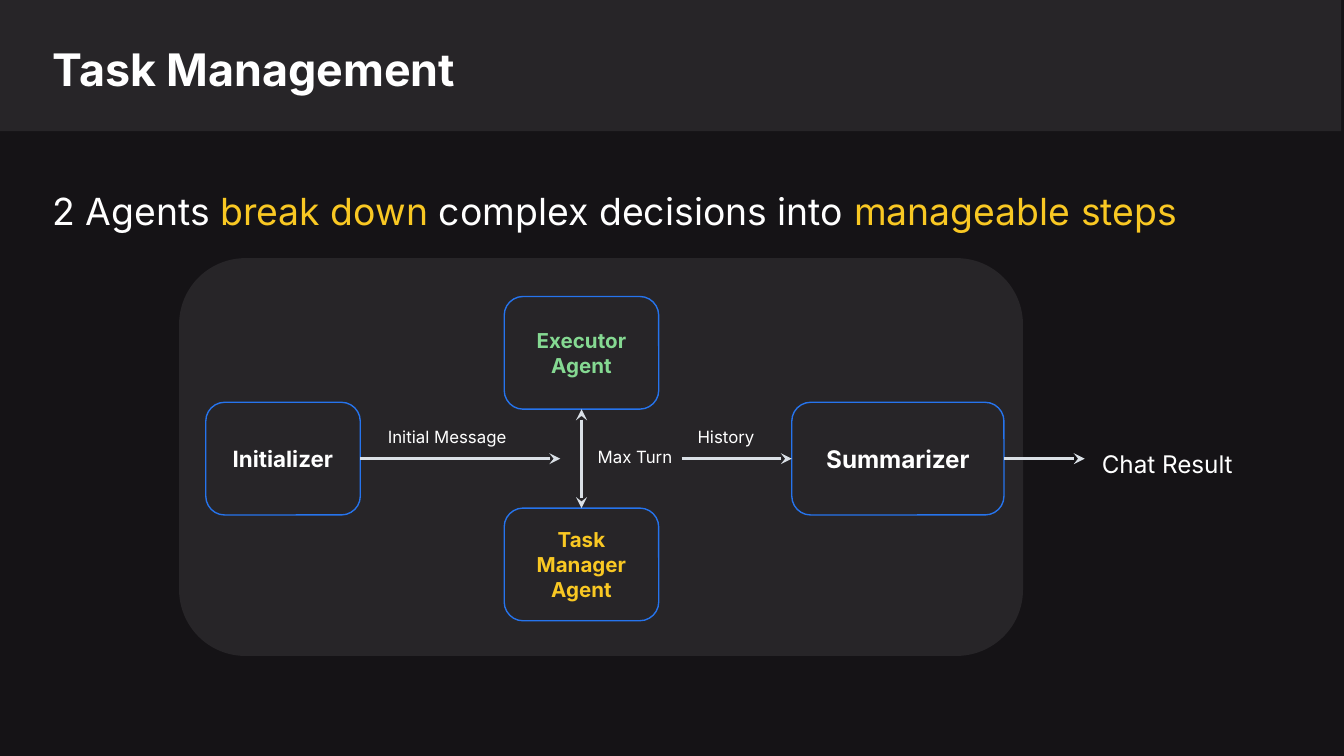
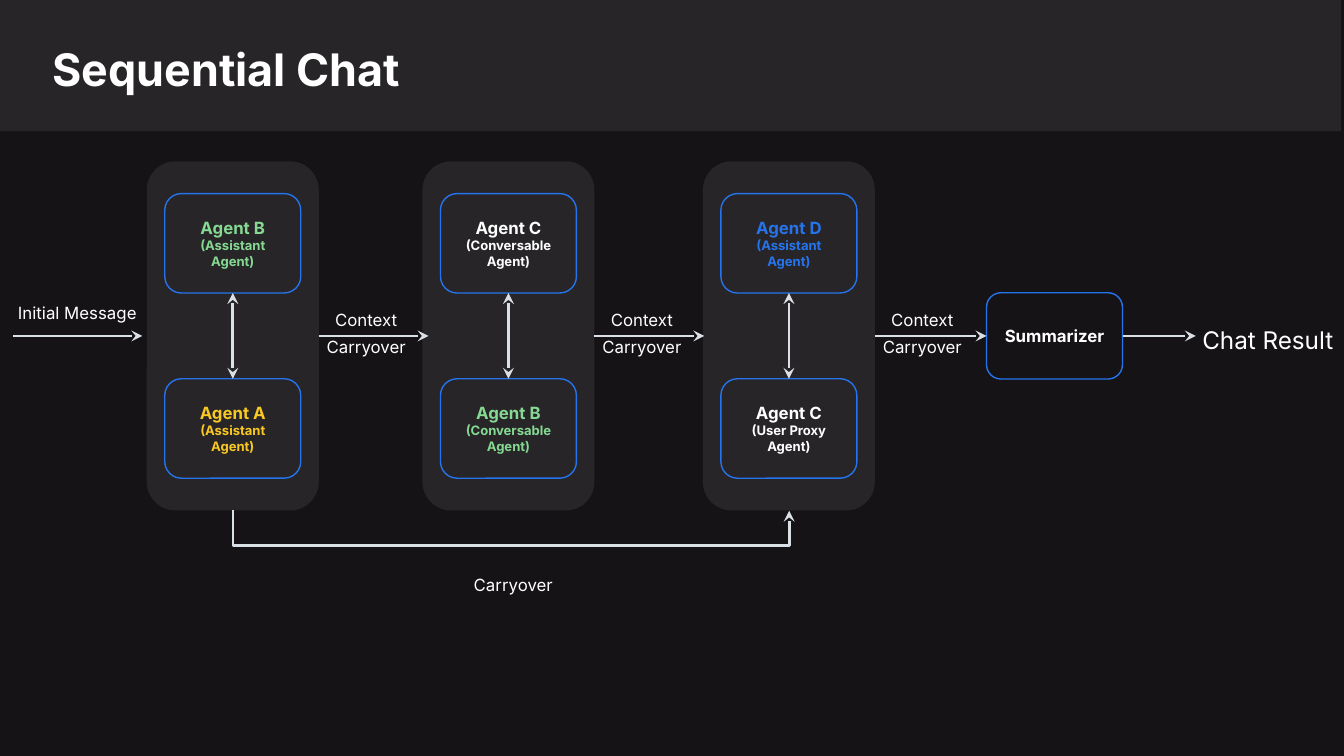
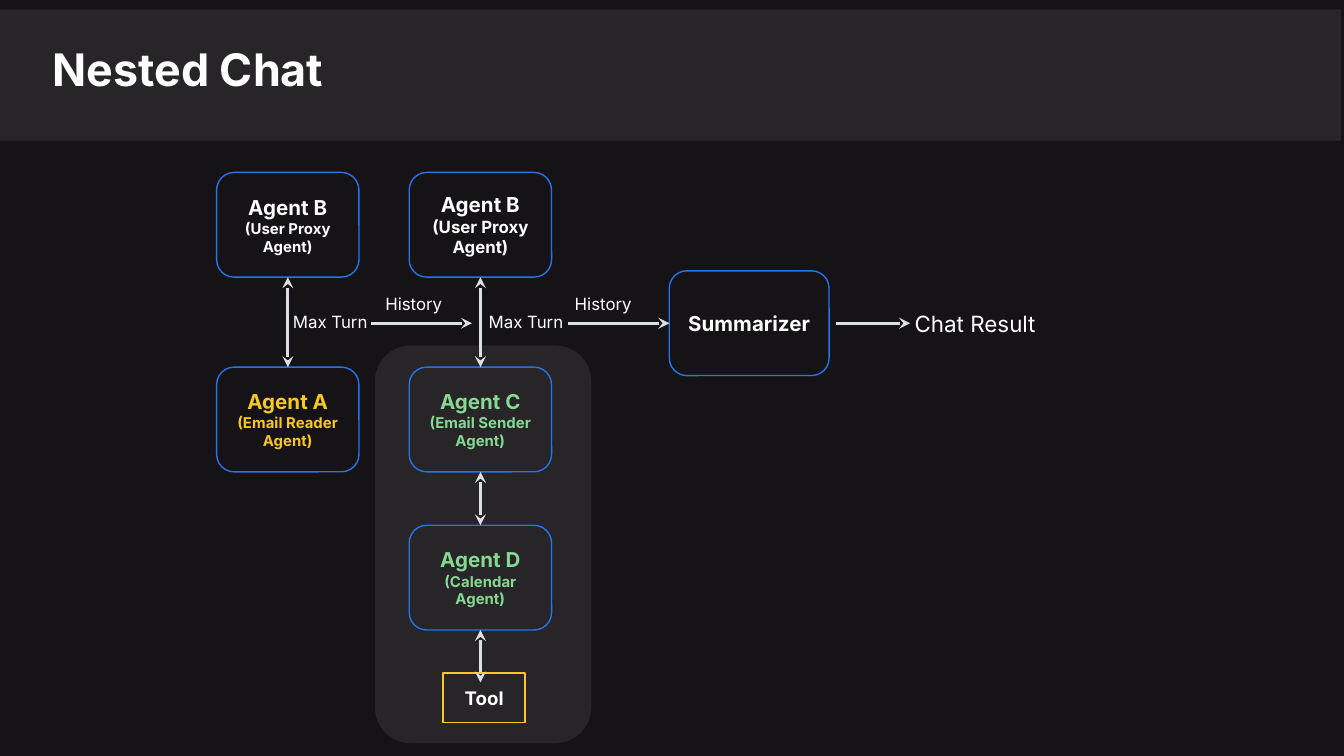
import pptx
import pptx.util
import pptx.dml.color
import pptx.enum.shapes
import pptx.enum.text
import pptx.oxml.ns
from lxml import etree

Cm = pptx.util.Cm
SHAPE = pptx.enum.shapes.MSO_SHAPE
CONNECTOR = pptx.enum.shapes.MSO_CONNECTOR
ALIGN = pptx.enum.text.PP_ALIGN
ANCHOR = pptx.enum.text.MSO_ANCHOR
qn = pptx.oxml.ns.qn

FONT = "Inter"
COLORS = {
    "background": "151316",
    "panel": "272528",
    "white": "FFFFFF",
    "blue": "2674ED",
    "green": "85D992",
    "yellow": "F9C823",
    "arrow": "DAE0E6",
}
TOP, LEFT, BOTTOM, RIGHT = range(4)


def rgb(name):
    return pptx.dml.color.RGBColor.from_string(COLORS[name])


# Text
def style(span, size, color="white", bold=False):
    span.font.name = FONT
    span.font.size = pptx.util.Pt(size)
    span.font.bold = bold
    span.font.color.rgb = rgb(color)


def write_lines(frame, lines, color="white", bold=False):
    """Fill a frame with centred (text, size) lines."""
    frame.word_wrap = True
    frame.vertical_anchor = ANCHOR.MIDDLE
    frame.text = "\n".join(text for text, _ in lines)
    for para, (_, size) in zip(frame.paragraphs, lines):
        para.alignment = ALIGN.CENTER
        style(para.runs[0], size, color, bold)


def add_label(page, x, y, text, size=9):
    """Plain text centred on a point."""
    width, height = 2.8, 1
    box = page.shapes.add_textbox(
        Cm(x - width / 2), Cm(y - height / 2), Cm(width), Cm(height))
    frame = box.text_frame
    frame.margin_left = frame.margin_right = 0
    write_lines(frame, [(text, size)])


def add_lead(page, parts):
    box = page.shapes.add_textbox(Cm(0.74), Cm(3.3), Cm(23.24), Cm(2.16))
    box.text_frame.word_wrap = True
    box.text_frame.margin_top = Cm(0.25)
    para = box.text_frame.paragraphs[0]
    for text, color in parts:
        span = para.add_run()
        span.text = text
        style(span, 20, color)


# Shapes, placed by their centre
def add_block(page, kind, x, y, width, height, fill=None, line=None):
    block = page.shapes.add_shape(
        kind, Cm(x - width / 2), Cm(y - height / 2), Cm(width), Cm(height))
    block.shadow.inherit = False
    if fill:
        block.fill.solid()
        block.fill.fore_color.rgb = rgb(fill)
    else:
        block.fill.background()
    if line:
        block.line.color.rgb = rgb(line)
        block.line.width = pptx.util.Pt(0.75)
    else:
        block.line.fill.background()
    return block


def add_panel(page, x, y, width, height):
    return add_block(page, SHAPE.ROUNDED_RECTANGLE, x, y, width, height, fill="panel")


def add_node(page, x, y, size, lines, color="white", kind=SHAPE.ROUNDED_RECTANGLE,
             line="blue"):
    node = add_block(page, kind, x, y, *size, line=line)
    write_lines(node.text_frame, lines, color, bold=True)
    return node


# Arrows
def style_arrow(arrow, double=False):
    arrow.line.color.rgb = rgb("arrow")
    arrow.line.width = pptx.util.Pt(1.5)
    outline = arrow.element.spPr.find(qn("a:ln"))
    for tag in ("a:headEnd", "a:tailEnd") if double else ("a:tailEnd",):
        etree.SubElement(outline, qn(tag), type="stealth")
    etree.SubElement(arrow.element.spPr, qn("a:effectLst"))


def add_arrow(page, begin, end, double=False):
    """Each end is an (x, y) point or a (shape, side) pair."""
    joined = [hasattr(spot[0], "shape_id") for spot in (begin, end)]
    points = [(0, 0) if join else spot for spot, join in zip((begin, end), joined)]
    arrow = page.shapes.add_connector(
        CONNECTOR.STRAIGHT, *(Cm(value) for point in points for value in point))
    if joined[0]:
        arrow.begin_connect(*begin)
    if joined[1]:
        arrow.end_connect(*end)
    style_arrow(arrow, double)


def add_return_arrow(page, x1, x2, y, drop):
    """U-shaped arrow that dips by drop between two points at height y."""
    span, sliver = x2 - x1, 0.01
    left, top = (x1 + x2) / 2, y - span / 2
    arrow = page.shapes.add_connector(
        CONNECTOR.ELBOW, Cm(left), Cm(top), Cm(left + sliver), Cm(top + span))
    frame = arrow.element.spPr.find(qn("a:xfrm"))
    frame.set("rot", "16200000")
    frame.set("flipH", "1")
    guides = arrow.element.spPr.find(".//" + qn("a:avLst"))
    etree.SubElement(guides, qn("a:gd"), name="adj1",
                     fmla=f"val {round(drop / sliver * 100000)}")
    style_arrow(arrow)


# Shared slide frame
def add_page(deck, heading, band_top=0.0):
    page = deck.slides.add_slide(deck.slide_layouts[5])
    width, height = 25.35, 2.48
    band = add_block(page, SHAPE.RECTANGLE, width / 2, band_top + height / 2,
                     width, height, fill="panel")
    title = page.shapes.title
    title.element.addprevious(band.element)
    title.left, title.top, title.width, title.height = (
        Cm(0.74), Cm(0.53), Cm(22.2), Cm(1.47))
    frame = title.text_frame
    frame.text = heading
    frame.auto_size = pptx.enum.text.MSO_AUTO_SIZE.NONE
    frame.vertical_anchor = ANCHOR.TOP
    frame.margin_top = Cm(0.25)
    frame.paragraphs[0].alignment = ALIGN.LEFT
    style(frame.paragraphs[0].runs[0], 24, bold=True)
    return page


def build_task_management(deck):
    page = add_page(deck, "Task Management")
    add_lead(page, [("2 Agents ", "white"), ("break down", "yellow"),
                    (" complex decisions into ", "white"),
                    ("manageable steps", "yellow")])
    flow_y, agent_x, size = 8.67, 10.99, (2.92, 2.13)
    add_panel(page, 11.36, 8.64, 15.95, 7.52)

    initializer = add_node(page, 5.35, flow_y, size, [("Initializer", 12)])
    executor = add_node(page, agent_x, flow_y - 2, size,
                        [("Executor Agent", 11)], "green")
    manager = add_node(page, agent_x, flow_y + 2, size,
                       [("Task Manager Agent", 11)], "yellow")
    summarizer = add_node(page, 16.97, flow_y, (4.01, 2.13), [("Summarizer", 13)])

    add_arrow(page, (initializer, RIGHT), (10.59, flow_y))
    add_arrow(page, (executor, BOTTOM), (manager, TOP), double=True)
    add_arrow(page, (12.88, flow_y), (summarizer, LEFT))
    add_arrow(page, (summarizer, RIGHT), (20.5, flow_y))

    add_label(page, 8.45, 8.26, "Initial Message")
    add_label(page, 12, 8.64, "Max Turn")
    add_label(page, 13.72, 8.26, "History")
    add_label(page, 22.06, 8.77, "Chat Result", 13)


def build_sequential_chat(deck):
    page = add_page(deck, "Sequential Chat")
    flow_y, size = 6.35, (2.57, 1.88)
    panel_width, panel_height = 3.25, 6.6
    chats = [
        (4.4, ("Agent B", "(Assistant Agent)", "green"),
         ("Agent A", "(Assistant Agent)", "yellow")),
        (9.61, ("Agent C", "(Conversable Agent)", "white"),
         ("Agent B", "(Conversable Agent)", "green")),
        (14.91, ("Agent D", "(Assistant Agent)", "blue"),
         ("Agent C", "(User Proxy Agent)", "white")),
    ]
    panels = [add_panel(page, x, flow_y, panel_width, panel_height)
              for x, _, _ in chats]
    summarizer = add_node(page, 19.93, flow_y, (2.57, 1.63), [("Summarizer", 9)])

    for panel, (x, *agents) in zip(panels, chats):
        upper, lower = [
            add_node(page, x, y, size, [(name, 9), (role, 7)], color)
            for y, (name, role, color) in zip((flow_y - 1.75, flow_y + 1.75), agents)]
        add_arrow(page, (upper, BOTTOM), (lower, TOP), double=True)
        last = panel is panels[-1]
        add_arrow(page, (panel, RIGHT),
                  (summarizer, LEFT) if last else (x + 3.7, flow_y))
        add_label(page, x + 2.52, 6.05, "Context")
        add_label(page, x + 2.52, 6.56, "Carryover")

    add_arrow(page, (0.25, flow_y), (2.69, flow_y))
    add_arrow(page, (summarizer, RIGHT), (22.6, flow_y))
    add_return_arrow(page, chats[0][0], chats[-1][0], flow_y + panel_height / 2, 0.66)
    add_label(page, 1.46, 5.92, "Initial Message")
    add_label(page, 9.7, 11.06, "Carryover")
    add_label(page, 23.96, 6.43, "Chat Result", 13)


def build_nested_chat(deck):
    page = add_page(deck, "Nested Chat", band_top=0.18)
    flow_y, size = 6.11, (2.69, 1.98)
    first_x, second_x = 5.44, 9.08
    add_panel(page, 9.13, 10.29, 4.09, 7.52)

    agents = [
        add_node(page, x, y, size, [(name, 11), (role, role_size)], color)
        for x, y, name, role, role_size, color in [
            (first_x, 4.25, "Agent B", "(User Proxy Agent)", 8, "white"),
            (first_x, 7.93, "Agent A", "(Email Reader Agent)", 8, "yellow"),
            (second_x, 4.25, "Agent B", "(User Proxy Agent)", 9, "white"),
            (second_x, 7.93, "Agent C", "(Email Sender Agent)", 8, "green"),
            (second_x, 10.92, "Agent D", "(Calendar Agent)", 8, "green"),
        ]]
    proxy, reader, nested_proxy, sender, calendar = agents
    summarizer = add_node(page, 14.16, flow_y, (3.02, 1.98), [("Summarizer", 11)])
    add_node(page, 9.15, 13.19, (1.55, 0.94), [("Tool", 10)],
             kind=SHAPE.RECTANGLE, line="yellow")

    for upper, lower in [(proxy, reader), (nested_proxy, sender), (sender, calendar)]:
        add_arrow(page, (upper, BOTTOM), (lower, TOP), double=True)
    add_arrow(page, (calendar, BOTTOM), (second_x, 12.9), double=True)
    add_arrow(page, (7.01, flow_y), (8.92, flow_y))
    add_arrow(page, (10.74, flow_y), (summarizer, LEFT))
    add_arrow(page, (15.8, flow_y), (17.2, flow_y))

    for turn_x, history_x in [(6.24, 7.82), (9.94, 11.4)]:
        add_label(page, turn_x, 6.09, "Max Turn")
        add_label(page, history_x, 5.75, "History")
    add_label(page, 18.43, flow_y, "Chat Result", 12)


def main():
    deck = pptx.Presentation()
    deck.slide_width, deck.slide_height = Cm(25.4), Cm(14.29)
    backdrop = deck.slide_master.background.fill
    backdrop.solid()
    backdrop.fore_color.rgb = rgb("background")
    build_task_management(deck)
    build_sequential_chat(deck)
    build_nested_chat(deck)
    deck.save("out.pptx")


if __name__ == "__main__":
    main()
